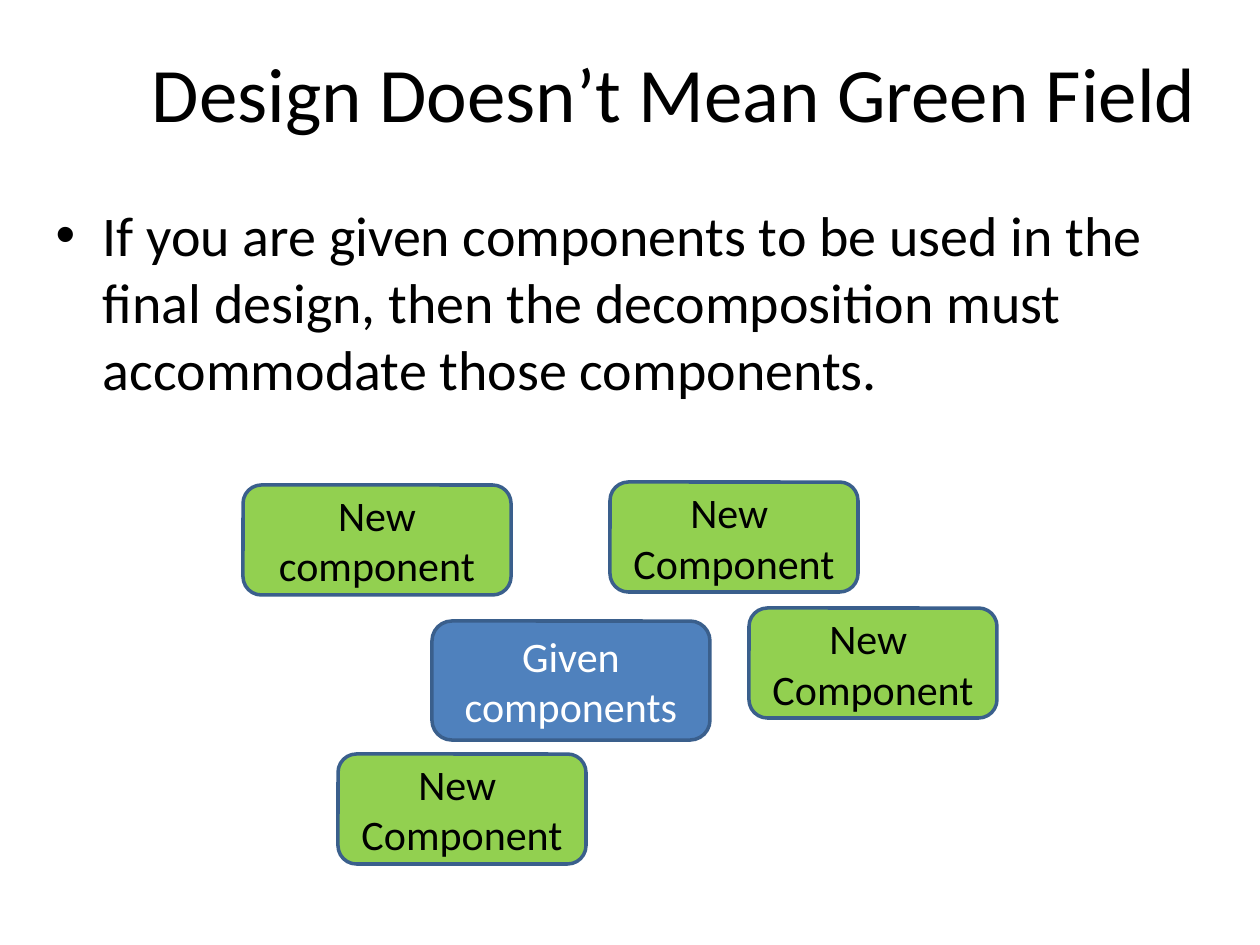
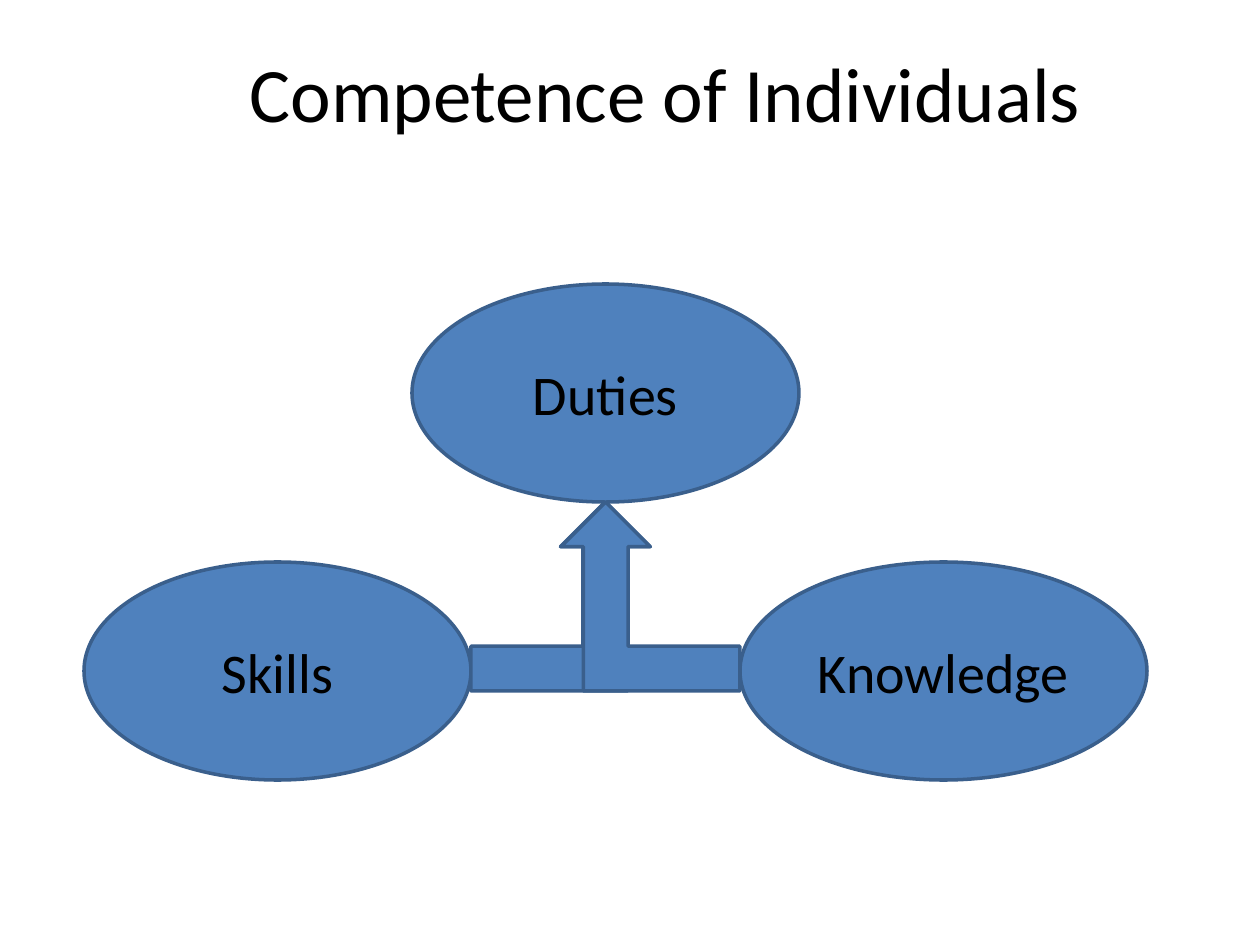
from dataclasses import dataclass

from pptx import Presentation
from pptx.dml.color import RGBColor
from pptx.enum import shapes, text
from pptx.util import Emu, Pt

EMU_PER_PX = 914400 / 126


@dataclass(frozen=True)
class Theme:
    font: str = "Calibri"
    black: str = "000000"
    white: str = "FFFFFF"
    blue: str = "4F81BD"
    green: str = "92D050"
    outline: str = "3A5F8C"
    outline_width: int = 2
    title_size: int = 44
    body_size: int = 32
    box_size: int = 24


@dataclass(frozen=True)
class Box:
    left: int
    top: int
    width: int
    height: int


@dataclass(frozen=True)
class Node:
    kind: shapes.MSO_SHAPE
    box: Box
    lines: tuple[str, ...] = ()
    fill: str = Theme.blue
    color: str = Theme.black
    size: int = Theme.body_size
    flipped: bool = False


THEME = Theme()
ROUNDED = shapes.MSO_SHAPE.ROUNDED_RECTANGLE
OVAL = shapes.MSO_SHAPE.OVAL
BENT_ARROW = shapes.MSO_SHAPE.BENT_UP_ARROW
TITLE_AND_BODY, TITLE_ONLY = 1, 5


def px(length: int) -> Emu:
    return Emu(round(length * EMU_PER_PX))


def place(shape, box: Box) -> None:
    shape.left, shape.top = px(box.left), px(box.top)
    shape.width, shape.height = px(box.width), px(box.height)


def write(frame, lines: tuple[str, ...], size: int, color: str, alignment) -> None:
    frame.word_wrap = True
    for index, line in enumerate(lines):
        paragraph = frame.add_paragraph() if index else frame.paragraphs[0]
        paragraph.alignment = alignment
        run = paragraph.add_run()
        run.text = line
        run.font.name = THEME.font
        run.font.size = Pt(size)
        run.font.color.rgb = RGBColor.from_string(color)


def add_slide(presentation, layout: int, title: str, title_width: int):
    slide = presentation.slides.add_slide(presentation.slide_layouts[layout])
    place(slide.shapes.title, Box(134, 38, title_width, 107))
    frame = slide.shapes.title.text_frame
    frame.vertical_anchor = text.MSO_ANCHOR.MIDDLE
    write(frame, (title,), THEME.title_size, THEME.black, text.PP_ALIGN.CENTER)
    return slide


def draw_node(container, node: Node) -> None:
    shape = container.add_shape(node.kind, 0, 0, 0, 0)
    place(shape, node.box)
    shape.shadow.inherit = False
    shape.fill.solid()
    shape.fill.fore_color.rgb = RGBColor.from_string(node.fill)
    shape.line.color.rgb = RGBColor.from_string(THEME.outline)
    shape.line.width = Pt(THEME.outline_width)
    if node.flipped:
        shape._element.spPr.xfrm.set("flipH", "1")
    if node.lines:
        shape.text_frame.vertical_anchor = text.MSO_ANCHOR.MIDDLE
        write(shape.text_frame, node.lines, node.size, node.color, text.PP_ALIGN.CENTER)


def build_green_field(presentation) -> None:
    slide = add_slide(presentation, TITLE_AND_BODY, "Design Doesn’t Mean Green Field", 1081)
    body = slide.placeholders[1]
    place(body, Box(43, 194, 1134, 669))
    statement = (
        "If you are given components to be used in the final design, "
        "then the decomposition must accommodate those components."
    )
    write(body.text_frame, (statement,), THEME.body_size, THEME.black, text.PP_ALIGN.LEFT)

    given = Node(ROUNDED, Box(432, 621, 278, 119), ("Given components",),
                 color=THEME.white, size=THEME.box_size)
    first_new = Node(ROUNDED, Box(243, 485, 268, 110), ("New component",),
                     fill=THEME.green, size=THEME.box_size)
    other_new = [
        Node(ROUNDED, Box(left, top, 248, 110), ("New ", "Component"),
             fill=THEME.green, size=THEME.box_size)
        for left, top in ((338, 754), (749, 608), (610, 482))
    ]
    for node in (given, first_new, *other_new):
        draw_node(slide.shapes, node)


def build_competence(presentation) -> None:
    slide = add_slide(presentation, TITLE_ONLY, "Competence of Individuals", 1063)
    diagram = slide.shapes.add_group_shape().shapes
    for node in (
        Node(OVAL, Box(84, 562, 387, 218), ("Skills",)),
        Node(OVAL, Box(740, 562, 407, 218), ("Knowledge",)),
        Node(BENT_ARROW, Box(471, 502, 179, 189)),
        Node(BENT_ARROW, Box(561, 502, 179, 189), flipped=True),
        Node(OVAL, Box(412, 284, 387, 218), ("Duties",)),
    ):
        draw_node(diagram, node)


def main() -> None:
    presentation = Presentation()
    presentation.slide_width, presentation.slide_height = px(1260), px(945)
    build_green_field(presentation)
    build_competence(presentation)
    presentation.save("out.pptx")


if __name__ == "__main__":
    main()
